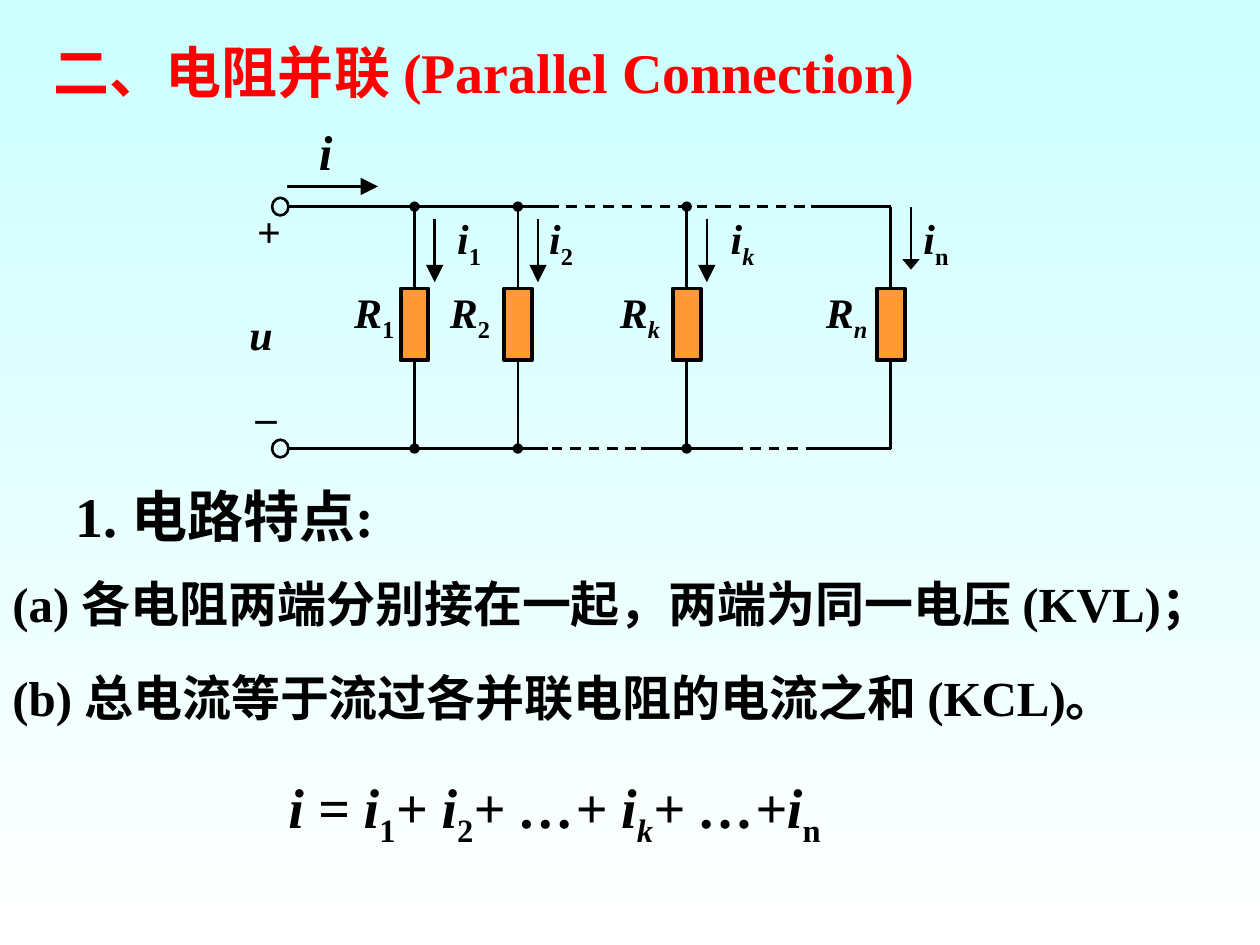
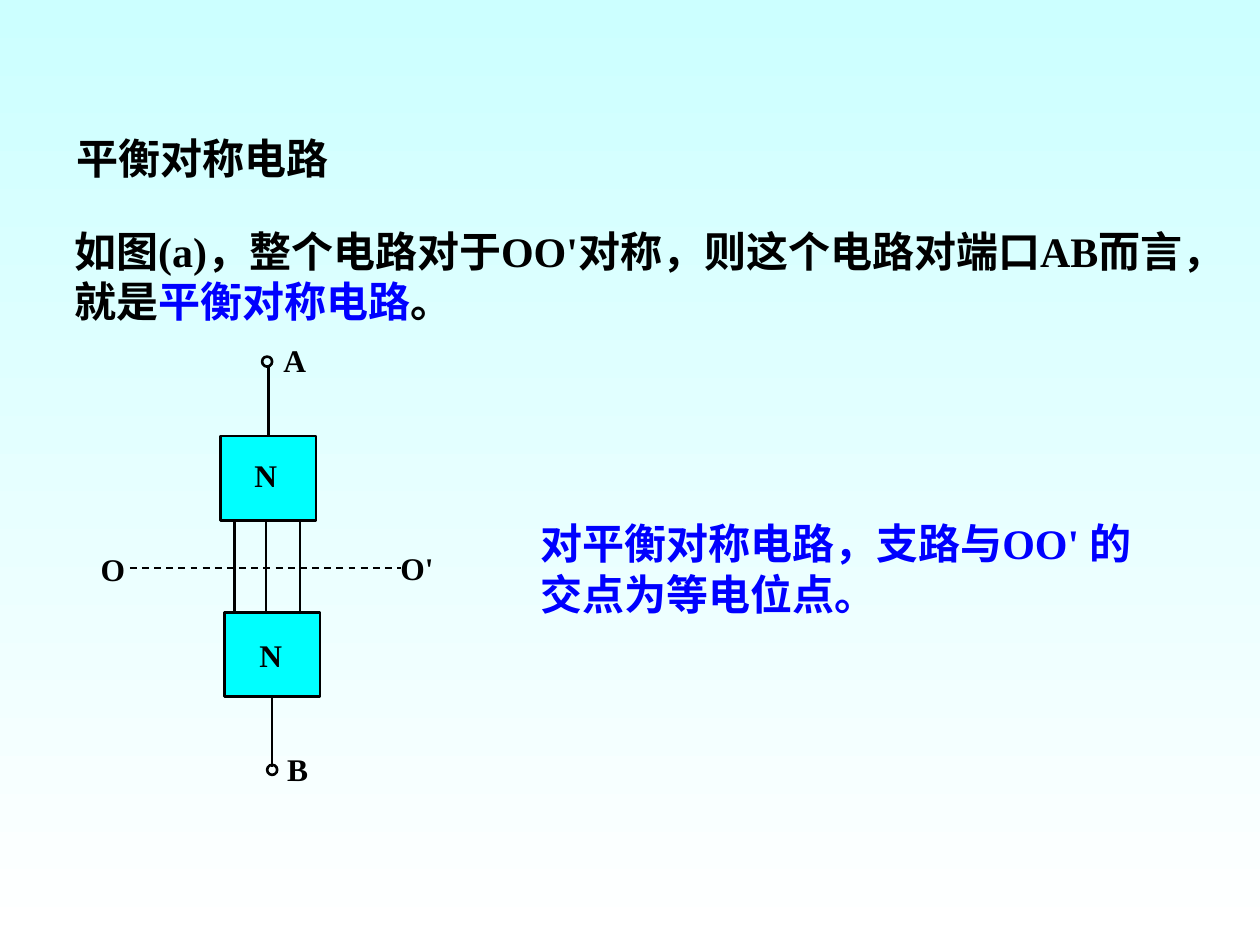
from dataclasses import dataclass

import pptx
import pptx.dml.color
import pptx.enum.dml
import pptx.enum.shapes
import pptx.enum.text
import pptx.oxml
import pptx.oxml.ns
import pptx.slide
import pptx.util

Inches = pptx.util.Inches
RGBColor = pptx.dml.color.RGBColor
Shape = pptx.enum.shapes.MSO_SHAPE
Align = pptx.enum.text.PP_ALIGN
Anchor = pptx.enum.text.MSO_ANCHOR

BLACK = RGBColor(0x00, 0x00, 0x00)
RED = RGBColor(0xFF, 0x00, 0x00)
BLUE = RGBColor(0x00, 0x00, 0xFF)
ORANGE = RGBColor(0xFF, 0x99, 0x33)
CYAN = RGBColor(0x00, 0xFF, 0xFF)
SKY = RGBColor(0xCC, 0xFF, 0xFF)
WHITE = RGBColor(0xFF, 0xFF, 0xFF)
FONT = "Times New Roman"

ITALIC, SUB, ITALIC_SUB = "i", "s", "is"


def add_xml(parent, tag, **attributes):
    element = pptx.oxml.parse_xml(f"<a:{tag} {pptx.oxml.ns.nsdecls('a')}/>")
    for name, value in attributes.items():
        element.set(name, value)
    parent.append(element)


@dataclass
class Region:
    """Part of a page; all coordinates are inches from its top left corner."""
    page: pptx.slide.Slide
    left: float = 0
    top: float = 0

    def point(self, x, y):
        return Inches(self.left + x), Inches(self.top + y)

    def text(self, x, y, width, height, spans, size, color=BLACK, centred=False, wrap=True):
        """Add a bold text; spans is a string or a list of (text, style or colour)."""
        box = self.page.shapes.add_textbox(*self.point(x, y), Inches(width), Inches(height))
        frame = box.text_frame
        frame.word_wrap = wrap
        frame.auto_size = pptx.enum.text.MSO_AUTO_SIZE.SHAPE_TO_FIT_TEXT
        para = frame.paragraphs[0]
        if centred:
            frame.vertical_anchor = Anchor.MIDDLE
            para.alignment = Align.CENTER
        para.font.name = FONT
        para.font.size = pptx.util.Pt(size)
        para.font.bold = True
        para.font.color.rgb = color
        for content, style in [(spans, "")] if isinstance(spans, str) else spans:
            span = para.add_run()
            span.text = content
            if isinstance(style, RGBColor):
                span.font.color.rgb = style
                continue
            if ITALIC in style:
                span.font.italic = True
            if SUB in style:
                span.font._element.set("baseline", "-25000")

    def wire(self, x1, y1, x2, y2, dashed=False, weight=1.5):
        line = self.page.shapes.add_connector(
            pptx.enum.shapes.MSO_CONNECTOR.STRAIGHT, *self.point(x1, y1), *self.point(x2, y2))
        line.line.color.rgb = BLACK
        line.line.width = pptx.util.Pt(weight)
        if dashed:
            line.line.dash_style = pptx.enum.dml.MSO_LINE.DASH
        add_xml(line._element.spPr, "effectLst")
        return line

    def arrow(self, x1, y1, x2, y2, length="lg"):
        line = self.wire(x1, y1, x2, y2)
        add_xml(line.line._get_or_add_ln(), "tailEnd", type="triangle", w="lg", len=length)

    def shape(self, kind, x, y, width, height, fill=None, weight=1.5):
        shape = self.page.shapes.add_shape(
            kind, *self.point(x, y), Inches(width), Inches(height))
        shape.shadow.inherit = False
        if fill is None:
            shape.fill.background()
        else:
            shape.fill.solid()
            shape.fill.fore_color.rgb = fill
        shape.line.color.rgb = BLACK
        shape.line.width = pptx.util.Pt(weight)
        return shape


def add_page(deck):
    page = deck.slides.add_slide(deck.slide_layouts[6])
    fill = page.background.fill
    fill.gradient()
    fill.gradient_angle = 270
    for stop, color in zip(fill.gradient_stops, (SKY, WHITE)):
        stop.color.rgb = color
    return page


def draw_rails(circuit, top, bottom):
    """Draw both rails as (start, end, dashed) pieces, each with its terminal."""
    rails = {
        top: [(0.28, 2.35, False), (2.35, 3.07, True), (3.09, 3.81, True),
              (3.72, 4.44, True), (4.44, 5.07, False)],
        bottom: [(0.28, 2.35, False), (2.38, 3.09, True), (3.09, 3.81, False),
                 (3.81, 4.53, True), (4.44, 5.07, False)],
    }
    for y, pieces in rails.items():
        for start, end, dashed in pieces:
            circuit.wire(start, y, end, y, dashed)
        circuit.shape(Shape.OVAL, 0.16, y - 0.07, 0.13, 0.14)


def draw_branch(circuit, x, top, bottom, resistor, current, last=False):
    """Draw one resistor branch; resistor and current are (label left, subscript, style)."""
    branch = circuit.wire(x, bottom, x, top)
    if not last:
        outline = branch.line._get_or_add_ln()
        add_xml(outline, "headEnd", type="oval")
        add_xml(outline, "tailEnd", type="oval")
    circuit.shape(Shape.RECTANGLE, x - 0.11, top + 0.65, 0.22, 0.57, ORANGE, 2.25)
    arrow_top = top if last else top + 0.1
    circuit.arrow(x + 0.16, arrow_top, x + 0.16, arrow_top + 0.5, "med" if last else "lg")
    left, subscript, style = resistor
    circuit.text(left, top + 0.58, 0.56, 0.56, [("R", ITALIC), (subscript, style)], 24,
                 centred=True, wrap=False)
    left, subscript, style = current
    circuit.text(left, top, 0.61, 0.56, [("i", ITALIC), (subscript, style)], 24)


def draw_parallel_circuit(circuit):
    top, bottom = 0.64, 2.56
    draw_rails(circuit, top, bottom)
    for x, resistor, current in (
            (1.29, (0.69, "1", SUB), (1.53, "1", SUB)),
            (2.11, (1.45, "2", SUB), (2.26, "2", SUB)),
            (3.45, (2.8, "k", ITALIC_SUB), (3.7, "k", ITALIC_SUB)),
            (5.07, (4.44, "n", ITALIC_SUB), (5.23, "n", SUB))):
        draw_branch(circuit, x, top, bottom, resistor, current, last=x == 5.07)
    circuit.arrow(0.28, 0.48, 1, 0.48)
    circuit.text(0.43, -0.09, 0.31, 0.57, [("i", ITALIC)], 28, centred=True, wrap=False)
    circuit.text(-0.06, 0.58, 0.39, 0.5, "+", 24, centred=True, wrap=False)
    circuit.text(-0.12, 1.4, 0.38, 0.5, [("u", ITALIC)], 24, centred=True, wrap=False)
    circuit.text(-0.07, 1.94, 0.36, 0.5, "_", 24, wrap=False)


def draw_symmetric_network(network):
    upper = network.shape(Shape.RECTANGLE, 1.05, 0.86, 0.76, 0.67, CYAN)
    lower = network.shape(Shape.RECTANGLE, 1.08, 2.26, 0.76, 0.67, CYAN)
    network.wire(1.43, 0.3, 1.43, 0.86).end_connect(upper, 0)
    network.wire(1.46, 2.93, 1.46, 3.49).begin_connect(lower, 2)
    for x in (1.16, 1.41, 1.68):
        network.wire(x, 1.53, x, 2.26)
    network.wire(0.33, 1.91, 2.48, 1.91, dashed=True, weight=1)
    for x, y in ((1.38, 0.23), (1.42, 3.47)):
        network.shape(Shape.OVAL, x, y, 0.08, 0.08)
    for x, y, width, name in ((1.45, 0.06, 0.46, "A"), (1.22, 0.97, 0.46, "N"),
                              (0, 1.72, 0.46, "O"), (2.38, 1.71, 0.62, "O'"),
                              (1.26, 2.4, 0.46, "N"), (1.48, 3.3, 0.46, "B")):
        network.text(x, y, width, 0.4, name, 18)


def build_parallel_page(deck):
    page = add_page(deck)
    body = Region(page)
    body.text(0.33, 0.25, 7.17, 0.64, "二、电阻并联 (Parallel Connection)", 32, RED)
    draw_parallel_circuit(Region(page, 2, 1))
    body.text(0.5, 3.77, 3.42, 0.64, "1. 电路特点:", 32)
    body.text(0, 4.5, 10, 0.57, "(a) 各电阻两端分别接在一起，两端为同一电压 (KVL)；", 28)
    body.text(0, 5.25, 10, 0.57, "(b) 总电流等于流过各并联电阻的电流之和 (KCL)。", 28)
    body.text(2.19, 6.08, 6.72, 0.71, [
        ("i = i", ITALIC), ("1", SUB), ("+ i", ITALIC), ("2", SUB), ("+ …+ i", ITALIC),
        ("k", ITALIC_SUB), ("+ …+i", ITALIC), ("n", SUB)], 32)


def build_symmetry_page(deck):
    page = add_page(deck)
    body = Region(page)
    body.text(0.51, 1, 9.1, 0.5, "平衡对称电路", 24)
    body.text(0.49, 1.74, 9.1, 0.9, [
        ("如图(a)，整个电路对于OO'对称，则这个电路对端口AB而言，就是", BLACK),
        ("平衡对称电路", BLUE), ("。", BLACK)], 24)
    draw_symmetric_network(Region(page, 0.7, 2.6))
    body.text(4.19, 4.06, 4.96, 0.9, "对平衡对称电路，支路与OO' 的交点为等电位点。", 24, BLUE)


def main():
    deck = pptx.Presentation()
    deck.slide_width, deck.slide_height = Inches(10), Inches(7.5)
    build_parallel_page(deck)
    build_symmetry_page(deck)
    deck.save("out.pptx")


if __name__ == "__main__":
    main()
